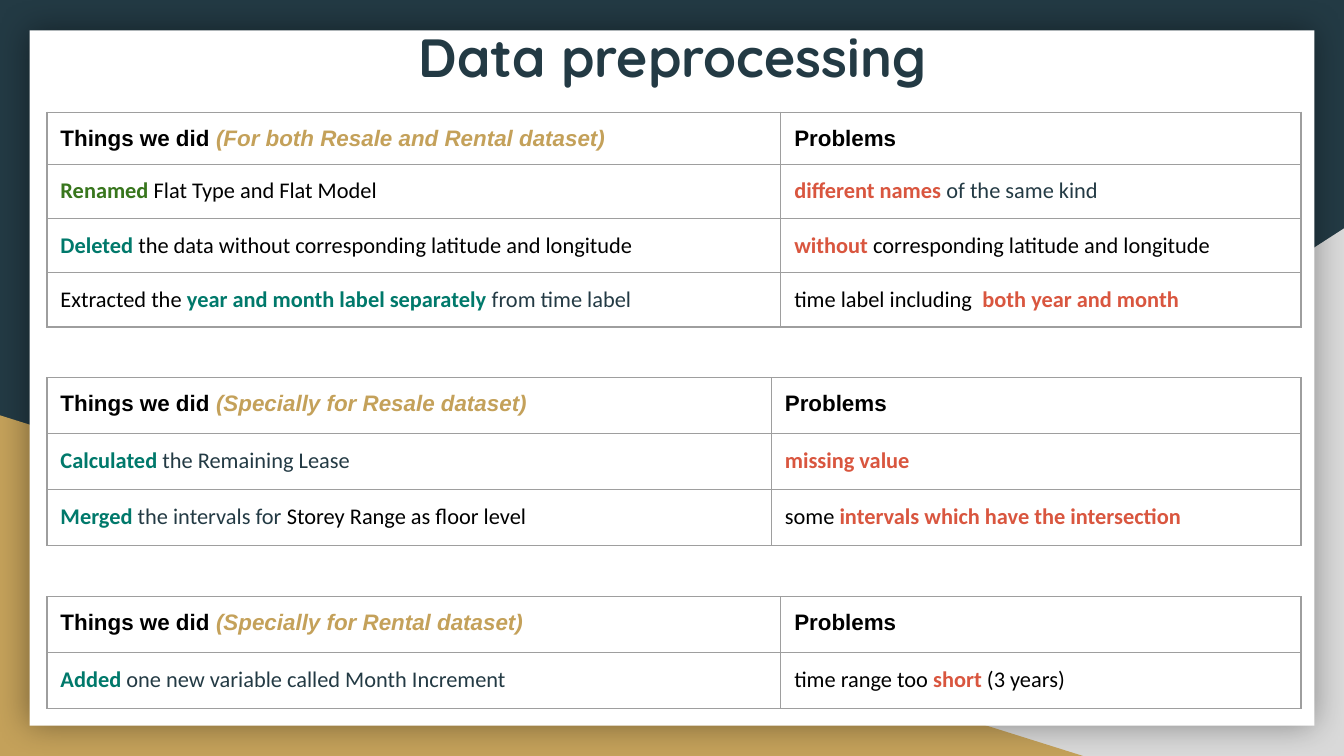
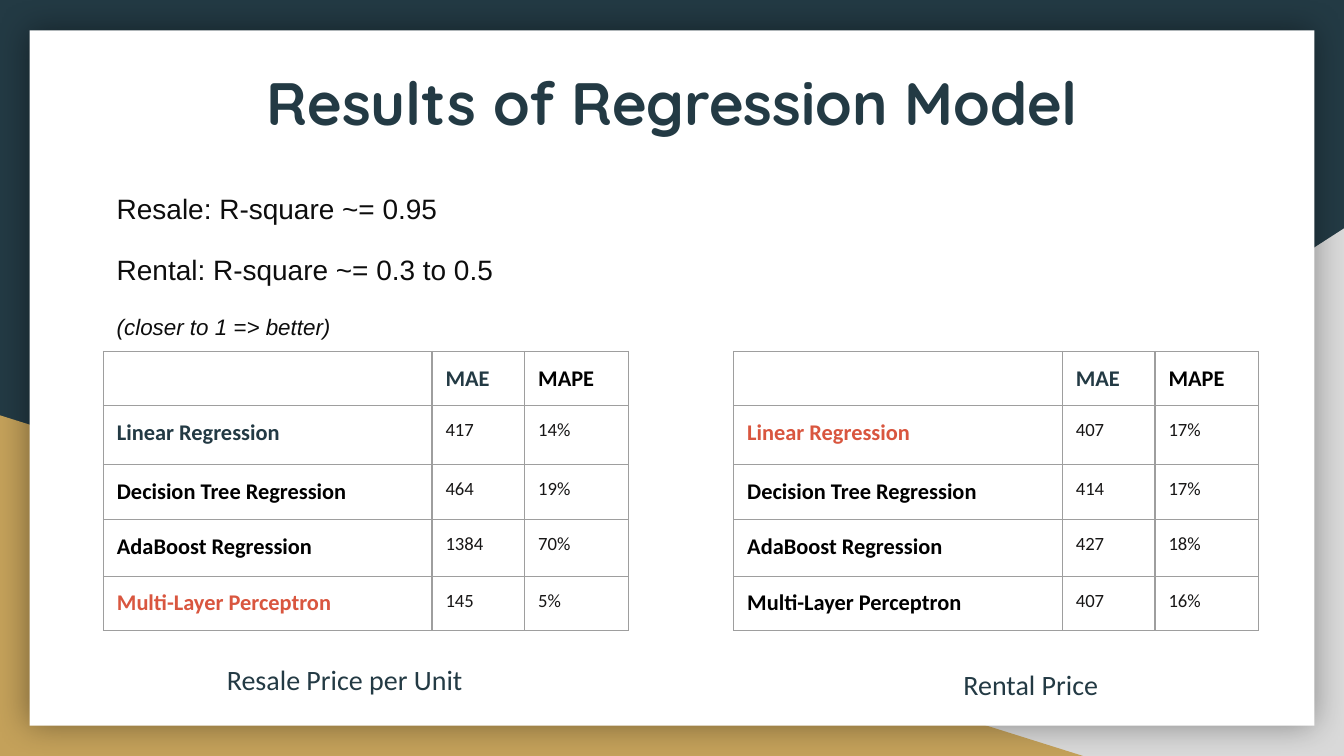
from collections import namedtuple

from lxml import etree
from pptx import Presentation
from pptx.dml.color import RGBColor
from pptx.enum.shapes import MSO_SHAPE
from pptx.enum.text import MSO_ANCHOR, MSO_AUTO_SIZE, PP_ALIGN
from pptx.oxml.ns import qn
from pptx.util import Inches, Pt

RECTANGLE = MSO_SHAPE.RECTANGLE
TRIANGLE = MSO_SHAPE.RIGHT_TRIANGLE
TOP = MSO_ANCHOR.TOP
NO_FIT = MSO_AUTO_SIZE.NONE
GROW = MSO_AUTO_SIZE.SHAPE_TO_FIT_TEXT
CENTER = PP_ALIGN.CENTER

# The grid has 100 columns; its rows are as high as the columns are wide
COLUMNS, ROWS = 100, 56.25
CELL = Inches(0.1)
PADDING = 1

NAVY, GOLD, GRAY, WHITE = "233A44", "C4A15A", "D9D9D9", "FFFFFF"
BLACK, INK, VALUE = "000000", "0D0D0D", "171616"
GREEN, TEAL, RED, BORDER = "38761D", "00796B", "D9563F", "9E9E9E"

Style = namedtuple("Style", "color size font bold italic",
                   defaults=(12, "Calibri", False, False))
HEADING = Style(BLACK, font="Arial", bold=True)
SCOPE = Style(GOLD, font="Arial", bold=True, italic=True)
PLAIN, MUTED = Style(BLACK), Style(NAVY)
STRONG, STRONG_NAVY = Style(BLACK, bold=True), Style(NAVY, bold=True)
RENAMED = Style(GREEN, bold=True)
ACTION, PROBLEM = Style(TEAL, bold=True), Style(RED, bold=True)
FIGURE = Style(VALUE, 10)
CAPTION = Style(NAVY, 15)
SCORE, HINT = Style(INK, 15, "Arial"), Style(INK, 12, "Arial", italic=True)


def grid(units):
    return round(units * CELL)


def rgb(color):
    return RGBColor.from_string(color)


def write_runs(paragraph, pieces):
    for text, style in pieces:
        run = paragraph.add_run()
        run.text = text
        font = run.font
        font.name, font.size = style.font, Pt(style.size)
        font.bold, font.italic = style.bold, style.italic
        font.color.rgb = rgb(style.color)


def set_padding(frame):
    frame.margin_left = frame.margin_right = grid(PADDING)
    frame.margin_top = frame.margin_bottom = grid(PADDING)


# Shared background
def add_panel(slide, kind, place, color):
    shape = slide.shapes.add_shape(kind, *map(grid, place))
    shape.shadow.inherit = False
    shape.fill.solid()
    shape.fill.fore_color.rgb = rgb(color)
    shape.line.fill.background()
    return shape


def add_soft_shadow(shape):
    effects = shape.element.spPr.find(qn("a:effectLst"))
    shadow = etree.SubElement(effects, qn("a:outerShdw"), blurRad=str(Pt(18)),
                              dist="0", dir="0", algn="ctr", rotWithShape="0")
    color = etree.SubElement(shadow, qn("a:srgbClr"), val=BLACK)
    etree.SubElement(color, qn("a:alpha"), val="40000")


def decorate_layout(layout, slide):
    """Draw the background on a slide, then move it to the layout."""
    layout.background.fill.solid()
    layout.background.fill.fore_color.rgb = rgb(NAVY)
    right = add_panel(slide, TRIANGLE, (39.2, 17, 60.8, 39.25), GRAY)
    right.element.spPr.xfrm.set("flipH", "1")
    left = add_panel(slide, TRIANGLE, (0, 30.9, 80.6, 25.35), GOLD)
    paper = add_panel(slide, RECTANGLE, (2.2, 2.25, 95.6, 51.75), WHITE)
    add_soft_shadow(paper)
    for index, shape in enumerate((right, left, paper), start=2):
        layout.shapes.element.insert(index, shape.element)


# Text
def set_title(slide, text, top, height, size):
    title = slide.shapes.title
    title.left, title.top = grid(9), grid(top)
    title.width, title.height = grid(82.1), grid(height)
    frame = title.text_frame
    frame.auto_size, frame.vertical_anchor = NO_FIT, TOP
    set_padding(frame)
    paragraph = frame.paragraphs[0]
    paragraph.alignment = CENTER
    write_runs(paragraph, [(text, Style(NAVY, size, "Quicksand", True))])


def add_text(slide, place, lines, auto_size=NO_FIT):
    frame = slide.shapes.add_textbox(*map(grid, place)).text_frame
    frame.word_wrap, frame.auto_size = True, auto_size
    set_padding(frame)
    for index, piece in enumerate(lines):
        paragraph = frame.add_paragraph() if index else frame.paragraphs[0]
        write_runs(paragraph, [piece])
    return frame


# Tables
def draw_borders(cell):
    properties = cell._tc.get_or_add_tcPr()
    for index, side in enumerate(("lnL", "lnR", "lnT", "lnB")):
        line = etree.Element(qn(f"a:{side}"), w=str(Pt(0.75)))
        fill = etree.SubElement(line, qn("a:solidFill"))
        etree.SubElement(fill, qn("a:srgbClr"), val=BORDER)
        properties.insert(index, line)


def add_grid_table(slide, left, top, widths, heights, rows):
    frame = slide.shapes.add_table(
        len(heights), len(widths), grid(left), grid(top),
        grid(sum(widths)), grid(sum(heights)))
    table = frame.table
    table.first_row = table.horz_banding = False
    for column, width in zip(table.columns, widths):
        column.width = grid(width)
    for row, height, contents in zip(table.rows, heights, rows):
        row.height = grid(height)
        for cell, pieces in zip(row.cells, contents):
            cell.fill.background()
            draw_borders(cell)
            set_padding(cell)
            paragraph = cell.text_frame.paragraphs[0]
            write_runs(paragraph, pieces)
            if not pieces:
                etree.SubElement(paragraph._p, qn("a:endParaRPr"), sz="1200")


def add_step_table(slide, top, split, heights, scope, steps):
    header = ([("Things we did ", HEADING), (f"({scope})", SCOPE)],
              [("Problems", HEADING)])
    add_grid_table(slide, 3.5, top, (split, 93.3 - split), heights,
                   [header, *steps])


def add_score_table(slide, left, best, scores):
    models = ("Linear Regression", "Decision Tree Regression",
              "AdaBoost Regression", "Multi-Layer Perceptron")
    rows = [([], [("MAE", STRONG_NAVY)], [("MAPE", STRONG)])]
    for index, (model, (mae, mape)) in enumerate(zip(models, scores)):
        style = STRONG if index else STRONG_NAVY
        if model == best:
            style = PROBLEM
        rows.append(([(model, style)], [(mae, FIGURE)], [(mape, FIGURE)]))
    add_grid_table(slide, left, 26.15, (24.45, 6.9, 7.7),
                   (3.95, 4.4, 4.1, 4.2, 3.95), rows)


# Slides
def build_preprocessing(slide):
    set_title(slide, "Data preprocessing", 0.8, 6.8, 28.8)
    add_step_table(
        slide, 8.35, 54.6, (3, 3.8, 3.8, 3.8),
        "For both Resale and Rental dataset",
        [([("Renamed ", RENAMED), ("Flat Type and Flat Model", PLAIN)],
          [("different names ", PROBLEM), ("of the same kind", MUTED)]),
         ([("Deleted", ACTION),
           (" the data without corresponding latitude and longitude", PLAIN)],
          [("without", PROBLEM),
           (" corresponding latitude and longitude", PLAIN)]),
         ([("Extracted the ", PLAIN),
           ("year and month label separately ", ACTION),
           ("from time label", MUTED)],
          [("time label including ", PLAIN),
           (" both year and month", PROBLEM)])])
    add_step_table(
        slide, 28.1, 53.9, (4.17,) * 3, "Specially for Resale dataset",
        [([("Calculated ", ACTION), ("the Remaining Lease", MUTED)],
          [("missing value", PROBLEM)]),
         ([("Merged", ACTION), (" the intervals for ", MUTED),
           ("Storey Range as floor level", PLAIN)],
          [("some ", PLAIN),
           ("intervals which have the intersection", PROBLEM)])])
    add_step_table(
        slide, 44.4, 54.6, (4.17,) * 2, "Specially for Rental dataset",
        [([("Added", ACTION),
           (" one new variable called Month Increment", MUTED)],
          [("time range too ", PLAIN), ("short", PROBLEM),
           (" (3 years)", PLAIN)])])


def build_results(slide):
    set_title(slide, "Results of Regression Model", 3.9, 9, 32)
    add_score_table(slide, 7.7, "Multi-Layer Perceptron",
                    [("417", "14%"), ("464", "19%"),
                     ("1384", "70%"), ("145", "5%")])
    add_text(slide, (15.9, 48.3, 21.7, 5), [("Resale Price per Unit", CAPTION)])
    add_text(slide, (70.7, 48.7, 15.8, 4.3), [("Rental Price", CAPTION)])
    add_score_table(slide, 54.6, "Linear Regression",
                    [("407", "17%"), ("414", "17%"),
                     ("427", "18%"), ("407", "16%")])
    summary = add_text(slide, (7.7, 12.9, 78.2, 13.5),
                       [("Resale: R-square ~= 0.95", SCORE),
                        ("Rental: R-square ~= 0.3 to 0.5", SCORE),
                        ("(closer to 1 => better)", HINT)], GROW)
    for index, paragraph in enumerate(summary.paragraphs):
        paragraph.line_spacing = 1.15
        if index:
            paragraph.space_before = Pt(12)
    summary.paragraphs[-1].space_after = Pt(12)


def main():
    presentation = Presentation()
    presentation.slide_width = grid(COLUMNS)
    presentation.slide_height = grid(ROWS)
    layout = presentation.slide_layouts.get_by_name("Title Only")
    preprocessing = presentation.slides.add_slide(layout)
    decorate_layout(layout, preprocessing)
    build_preprocessing(preprocessing)
    build_results(presentation.slides.add_slide(layout))
    presentation.save("out.pptx")


if __name__ == "__main__":
    main()
